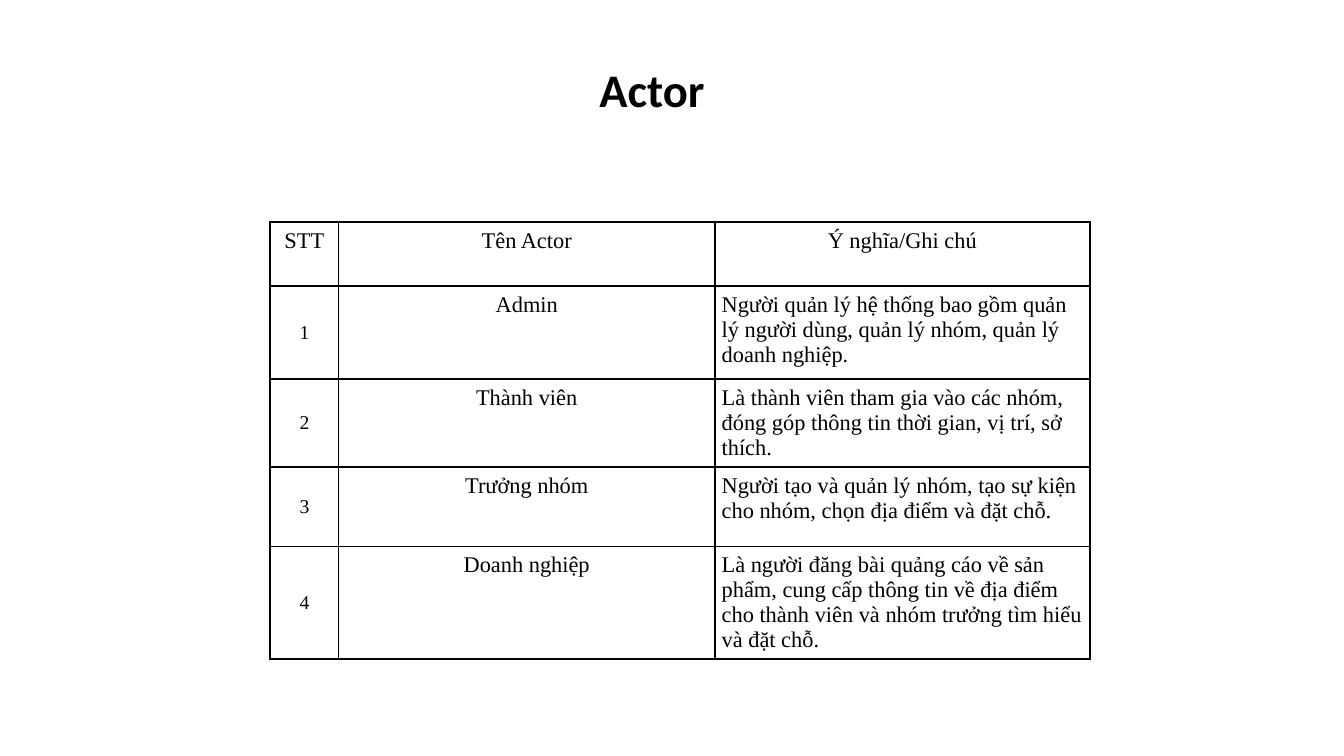
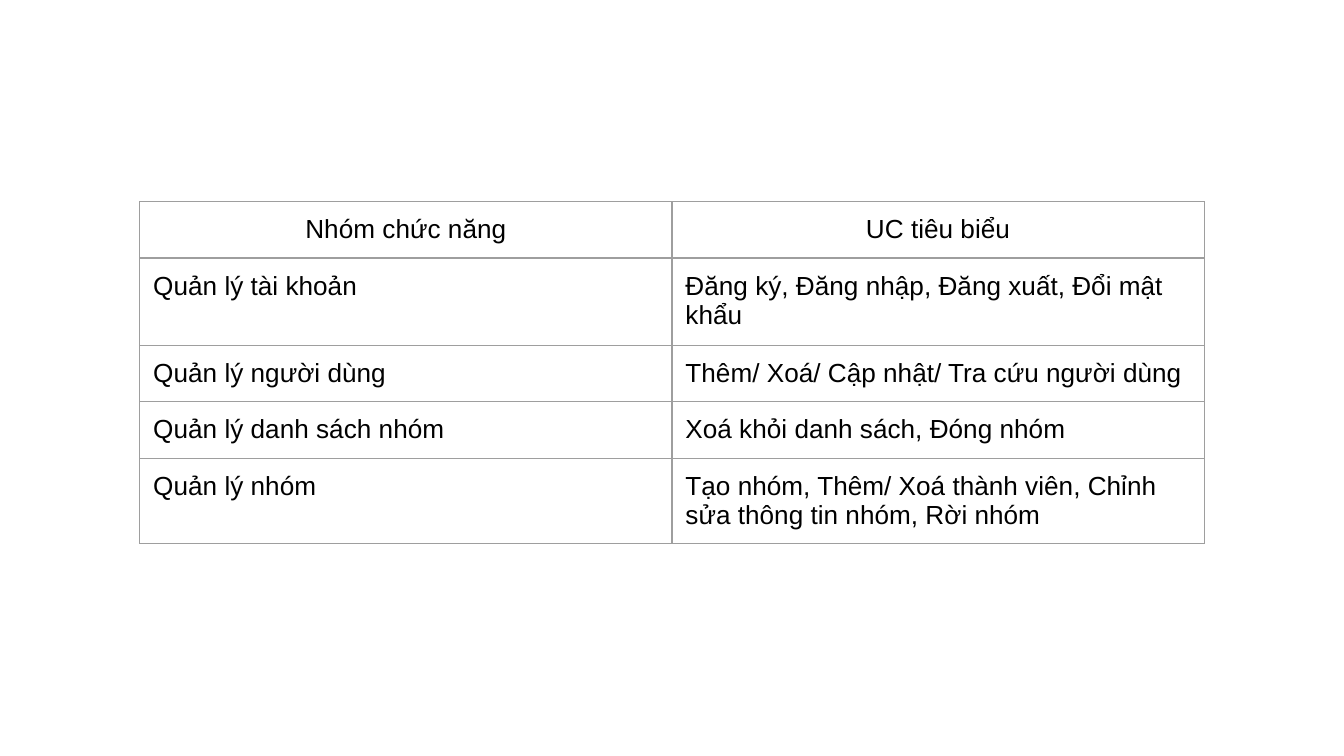
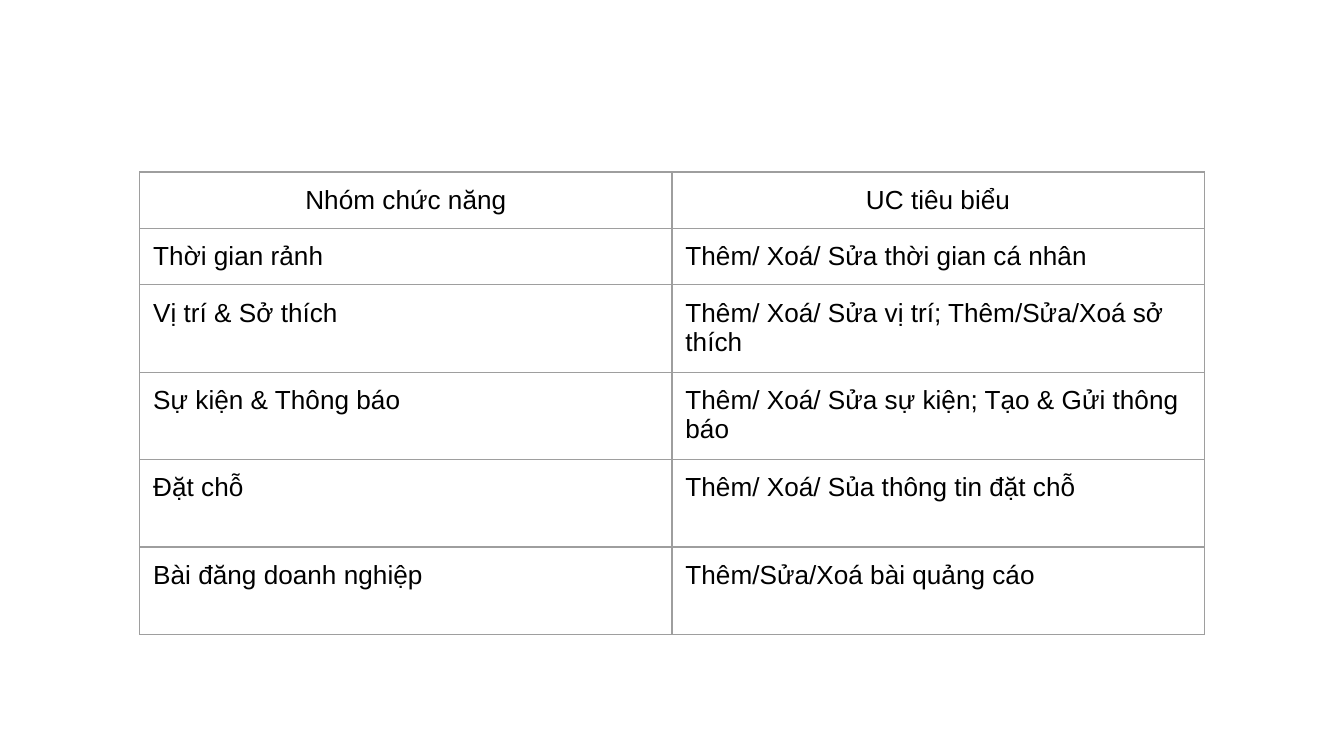
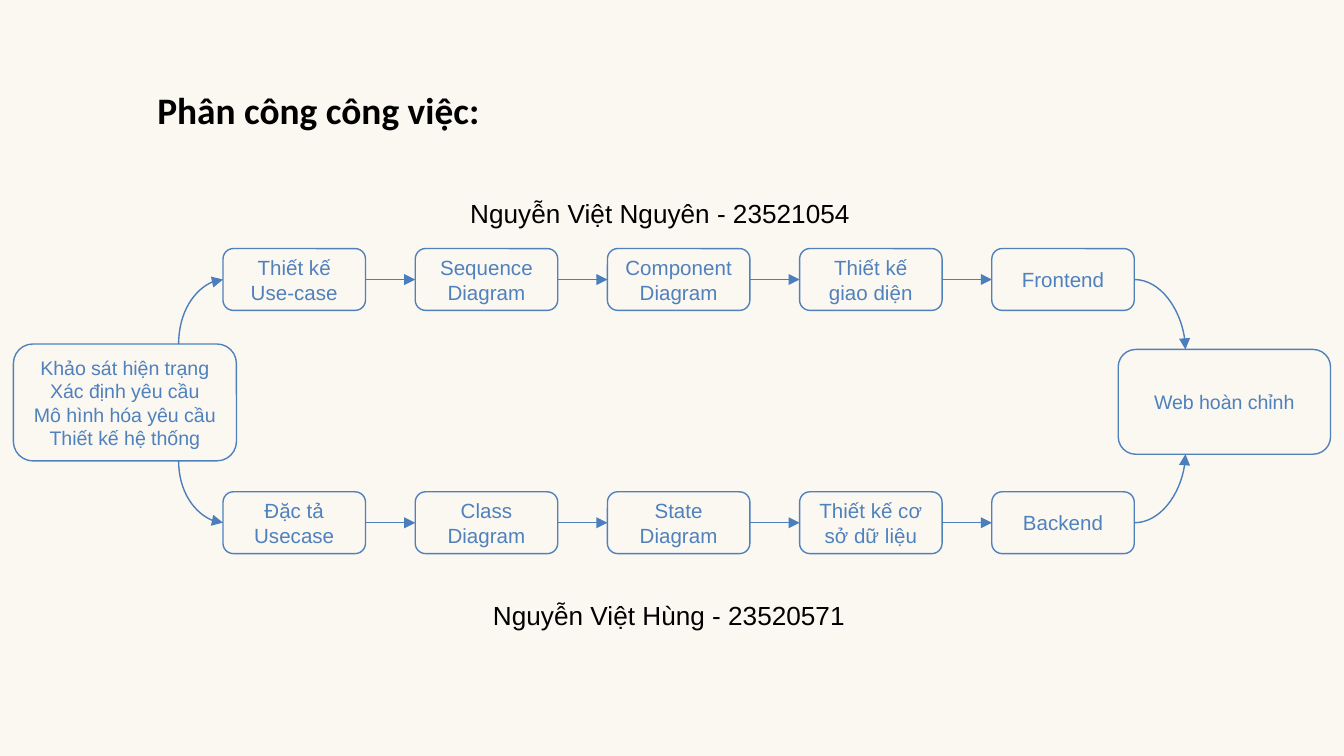
import pptx
import pptx.util
import pptx.dml.color
import pptx.enum.shapes
import pptx.enum.text
import pptx.oxml
import pptx.oxml.ns
from lxml import etree

Inches = pptx.util.Inches
Pt = pptx.util.Pt
ALIGN = pptx.enum.text.PP_ALIGN
ANCHOR = pptx.enum.text.MSO_ANCHOR
CONNECTOR = pptx.enum.shapes.MSO_CONNECTOR
qn = pptx.oxml.ns.qn

COLORS = {"text": "000000", "grid": "9E9E9E", "box": "4F81BD",
          "arrow": "4B7EBC", "cream": "FBF7F1"}
TITLE_ONLY, BLANK = 5, 6


def rgb(name):
    return pptx.dml.color.RGBColor.from_string(COLORS[name])


def write(tf, text, size=14, font="Arial", color="text", bold=False,
          align=ALIGN.LEFT, anchor=ANCHOR.TOP, margins=(0.1, 0.05)):
    tf.word_wrap = True
    tf.vertical_anchor = anchor
    tf.margin_left = tf.margin_right = Inches(margins[0])
    tf.margin_top = tf.margin_bottom = Inches(margins[1])
    for i, line in enumerate(text.split("\n")):
        p = tf.paragraphs[0] if i == 0 else tf.add_paragraph()
        p.alignment = align
        r = p.add_run()
        r.text = line
        r.font.size = Pt(size)
        r.font.name = font
        r.font.bold = bold
        r.font.color.rgb = rgb(color)


class Deck:
    def __init__(self):
        self.prs = pptx.Presentation()
        self.prs.slide_width = Inches(10)
        self.prs.slide_height = Inches(10) * 9 // 16
        self.slide = None

    def new_slide(self, layout, background=None):
        self.slide = self.prs.slides.add_slide(self.prs.slide_layouts[layout])
        if background:
            fill = self.slide.background.fill
            fill.solid()
            fill.fore_color.rgb = rgb(background)

    def title(self, text, x, y, w, h, **fmt):
        sp = self.slide.shapes.title
        sp.left, sp.top, sp.width, sp.height = map(Inches, (x, y, w, h))
        sp.text_frame.auto_size = pptx.enum.text.MSO_AUTO_SIZE.NONE
        write(sp.text_frame, text, font="Calibri", bold=True, **fmt)

    def label(self, text, x, y, w, h):
        sp = self.slide.shapes.add_textbox(*map(Inches, (x, y, w, h)))
        write(sp.text_frame, text)

    def box(self, text, x, y, w, h, size=11):
        sp = self.slide.shapes.add_shape(
            pptx.enum.shapes.MSO_SHAPE.ROUNDED_RECTANGLE,
            *map(Inches, (x, y, w, h)))
        sp.shadow.inherit = False
        sp.fill.background()
        sp.line.color.rgb = rgb("box")
        sp.line.width = Pt(0.75)
        write(sp.text_frame, text, size=size, color="box",
              align=ALIGN.CENTER, anchor=ANCHOR.MIDDLE)

    def arrow(self, start, end, curved=False, end_tag="a:tailEnd"):
        kind = CONNECTOR.CURVE if curved else CONNECTOR.STRAIGHT
        sp = self.slide.shapes.add_connector(kind, *map(Inches, start + end))
        sp.line.color.rgb = rgb("arrow")
        sp.line.width = Pt(0.75)
        if curved:
            geom = sp._element.spPr.find(qn("a:prstGeom"))
            geom.set("prst", "curvedConnector2")
        etree.SubElement(sp.line._get_or_add_ln(), qn(end_tag), type="triangle")
        etree.SubElement(sp._element.spPr, qn("a:effectLst"))

    def borders(self, cell, color, width):
        tcPr = cell._tc.get_or_add_tcPr()
        for side in "LRTB":
            ln = etree.SubElement(tcPr, qn(f"a:ln{side}"), w=str(Pt(width)))
            fill = etree.SubElement(ln, qn("a:solidFill"))
            etree.SubElement(fill, qn("a:srgbClr"), val=COLORS[color])

    def table(self, rows, x, y, widths, heights, cell_format, border, width, margin):
        table = self.slide.shapes.add_table(
            len(rows), len(widths),
            *map(Inches, (x, y, sum(widths), sum(heights)))).table
        table.first_row = table.horz_banding = False
        for column, w in zip(table.columns, widths):
            column.width = Inches(w)
        for row, h in zip(table.rows, heights):
            row.height = Inches(h)
        for i, row in enumerate(rows):
            for j, text in enumerate(row):
                cell = table.cell(i, j)
                fmt = cell_format(i, j)
                write(cell.text_frame, text, **fmt)
                cell.vertical_anchor = fmt.get("anchor", ANCHOR.TOP)
                cell.margin_left = cell.margin_right = Inches(margin)
                cell.margin_top = cell.margin_bottom = Inches(margin)
                self.borders(cell, border, width)
                cell.fill.background()


def actor_format(i, j):
    fmt = {"size": 12, "font": "Times New Roman"}
    if i == 0 or j < 2:
        fmt["align"] = ALIGN.CENTER
    if i > 0 and j == 0:
        fmt.update(size=10.5, anchor=ANCHOR.MIDDLE)
    return fmt


def function_format(i, j):
    return {"align": ALIGN.CENTER if i == 0 else ALIGN.LEFT}


def actor_slide(deck):
    deck.new_slide(TITLE_ONLY)
    deck.title("Actor", 4.46, 0.32, 1.09, 0.55, size=25,
               anchor=ANCHOR.BOTTOM, margins=(0, 0))
    rows = [
        ("STT", "Tên Actor", "Ý nghĩa/Ghi chú"),
        ("1", "Admin", "Người quản lý hệ thống bao gồm quản lý người dùng, "
                       "quản lý nhóm, quản lý doanh nghiệp."),
        ("2", "Thành viên", "Là thành viên tham gia vào các nhóm, đóng góp "
                            "thông tin thời gian, vị trí, sở thích."),
        ("3", "Trưởng nhóm", "Người tạo và quản lý nhóm, tạo sự kiện cho nhóm, "
                             "chọn địa điểm và đặt chỗ."),
        ("4", "Doanh nghiệp", "Là người đăng bài quảng cáo về sản phẩm, cung cấp "
                              "thông tin về địa điểm cho thành viên và nhóm trưởng "
                              "tìm hiểu và đặt chỗ."),
    ]
    deck.table(rows, 2.01, 1.65, (0.51, 2.8, 2.79), (0.48, 0.69, 0.62, 0.59, 0.65),
               actor_format, "text", 1, 0.05)


def function_slide(deck, y, heights, groups):
    deck.new_slide(BLANK)
    rows = [("Nhóm chức năng", "UC tiêu biểu")] + groups
    deck.table(rows, 1.04, y, (3.96, 3.96), heights,
               function_format, "grid", 0.75, 0.1)


def work_slide(deck):
    deck.new_slide(TITLE_ONLY, "cream")
    deck.title("Phân công công việc:", 1.07, 0.6, 4.88, 0.44, size=20)
    deck.box("Khảo sát hiện trạng\nXác định yêu cầu\nMô hình hóa yêu cầu\n"
             "Thiết kế hệ thống", 0.1, 2.56, 1.66, 0.87, size=10.5)
    deck.box("Web hoàn chỉnh", 8.32, 2.6, 1.58, 0.78, size=10.5)

    left, pitch, w, h = 1.66, 1.43, 1.06, 0.46
    survey_x, web_x = 1.33, 8.82
    tracks = [
        (1.85, 2.56, 2.6, ("Thiết kế Use-case", "Sequence Diagram",
                           "Component Diagram", "Thiết kế giao diện", "Frontend")),
        (3.66, 3.43, 3.38, ("Đặc tả Usecase", "Class Diagram", "State Diagram",
                            "Thiết kế cơ sở dữ liệu", "Backend")),
    ]
    for y, survey_y, web_y, steps in tracks:
        mid = y + h / 2
        for i, step in enumerate(steps):
            x = left + i * pitch
            deck.box(step, x, y, w, h)
            if i:
                deck.arrow((x - pitch + w, mid), (x, mid))
        deck.arrow((left, mid), (survey_x, survey_y), curved=True, end_tag="a:headEnd")
        deck.arrow((x + w, mid), (web_x, web_y), curved=True)

    deck.label("Nguyễn Việt Nguyên - 23521054", 3.4, 1.42, 3.31, 0.34)
    deck.label("Nguyễn Việt Hùng - 23520571", 3.57, 4.41, 2.86, 0.34)


def main():
    deck = Deck()
    actor_slide(deck)
    function_slide(deck, 1.5, (0.42, 0.65, 0.42, 0.42, 0.58), [
        ("Quản lý tài khoản", "Đăng ký, Đăng nhập, Đăng xuất, Đổi mật khẩu"),
        ("Quản lý người dùng", "Thêm/ Xoá/ Cập nhật/ Tra cứu người dùng"),
        ("Quản lý danh sách nhóm", "Xoá khỏi danh sách, Đóng nhóm"),
        ("Quản lý nhóm", "Tạo nhóm, Thêm/ Xoá thành viên, Chỉnh sửa thông tin "
                         "nhóm, Rời nhóm"),
    ])
    function_slide(deck, 1.28, (0.42, 0.42, 0.65, 0.65, 0.65, 0.65), [
        ("Thời gian rảnh", "Thêm/ Xoá/ Sửa thời gian cá nhân"),
        ("Vị trí & Sở thích", "Thêm/ Xoá/ Sửa vị trí; Thêm/Sửa/Xoá sở thích"),
        ("Sự kiện & Thông báo", "Thêm/ Xoá/ Sửa sự kiện; Tạo & Gửi thông báo"),
        ("Đặt chỗ", "Thêm/ Xoá/ Sủa thông tin đặt chỗ"),
        ("Bài đăng doanh nghiệp", "Thêm/Sửa/Xoá bài quảng cáo"),
    ])
    work_slide(deck)
    deck.prs.save("out.pptx")


if __name__ == "__main__":
    main()
